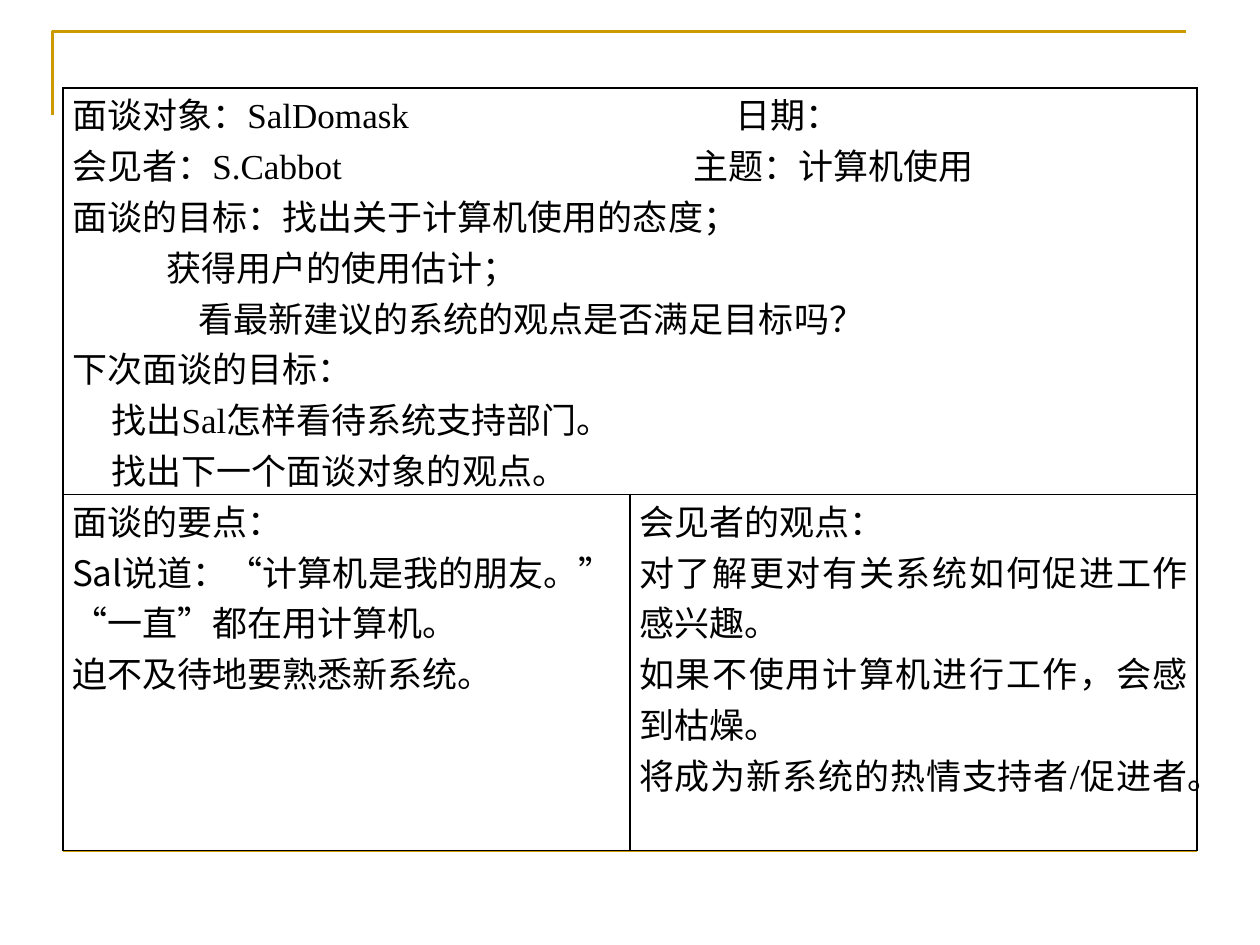
from lxml.etree import SubElement as Sub
from pptx import Presentation
from pptx.dml.color import RGBColor
from pptx.enum.shapes import MSO_CONNECTOR as Link
from pptx.enum.text import PP_ALIGN as Align
from pptx.oxml.ns import qn
from pptx.util import Pt

SERIF, SANS = "Times New Roman", "Noto Sans CJK SC"
GOLD, BLACK, WHITE = "CC9900", "000000", "FFFFFF"

HEAD = [
    dict(text="面谈对象：SalDomask\t日期：", tab=379),
    dict(text="会见者：S.Cabbot\t主题：计算机使用", tab=355),
    dict(text="面谈的目标：找出关于计算机使用的态度；"),
    dict(text="获得用户的使用估计；", left=54),
    dict(text="看最新建议的系统的观点是否满足目标吗？", left=72),
    dict(text="下次面谈的目标："),
    dict(text="找出Sal怎样看待系统支持部门。", left=22.5),
    dict(text="找出下一个面谈对象的观点。", left=22.5),
]
POINTS = [
    dict(text="面谈的要点："),
    dict(text="说道：“计算机是我的朋友。”", lead="Sal"),
    dict(text="“一直”都在用计算机。"),
    dict(text="迫不及待地要熟悉新系统。"),
]
VIEWS = [
    dict(text="会见者的观点："),
    dict(text="对了解更对有关系统如何促进工作感兴趣。"),
    dict(text="如果不使用计算机进行工作，会感到枯燥。"),
    dict(text="将成为新系统的热情支持者/促进者。"),
]


def color(code):
    """Turn a hex string into a colour."""
    return RGBColor.from_string(code)


def write(para, text, lead="", left=0, tab=0, size=20, ink=BLACK):
    """Fill a justified paragraph, with an optional sans lead, indent and tab stop."""
    para.alignment = Align.JUSTIFY
    props = para._p.get_or_add_pPr()
    if left:
        props.set("marL", str(Pt(left)))
        props.set("indent", "0")
    if tab:
        stops = Sub(props, qn("a:tabLst"))
        Sub(stops, qn("a:tab"), pos=str(Pt(tab)), algn="l")
    for part, face in ((lead, SANS), (text, SERIF)):
        if part:
            run = para.add_run()
            run.text = part
            font = run.font
            font.size, font.name = Pt(size), face
            font.color.rgb = color(ink)
            Sub(run._r.get_or_add_rPr(), qn("a:ea"), typeface=SANS)


def frame(shapes, left, top, width, height):
    """Draw the gold corner at the top and the gold rule at the foot."""
    pen = shapes.build_freeform(Pt(left), Pt(top + 48))
    pen.add_line_segments(
        [(Pt(left), Pt(top)), (Pt(left + width), Pt(top))], close=False)
    edge = pen.convert_to_shape()
    edge.shadow.inherit = False
    edge.fill.background()
    foot = Pt(top + height)
    rule = shapes.add_connector(
        Link.STRAIGHT, Pt(left + 6), foot, Pt(left + 6 + width), foot)
    Sub(rule._element.spPr, qn("a:effectLst"))
    for item in (edge, rule):
        item.line.color.rgb = color(GOLD)
        item.line.width = Pt(1.5)


def border(cell, ink=BLACK, width=1):
    """Put a solid line on all four sides of a cell."""
    props = cell._tc.get_or_add_tcPr()
    for side in "LRTB":
        line = Sub(props, qn(f"a:ln{side}"), w=str(Pt(width)))
        fill = Sub(line, qn("a:solidFill"))
        Sub(fill, qn("a:srgbClr"), val=ink)


def record(shapes, left, top, width, rows):
    """Build the interview record as a table with a merged head row."""
    table = shapes.add_table(
        2, 2, Pt(left), Pt(top), Pt(width), Pt(sum(rows))).table
    for col in table.columns:
        col.width = Pt(width / 2)
    for row, height in zip(table.rows, rows):
        row.height = Pt(height)
    for cell in table.iter_cells():
        border(cell)
        cell.fill.solid()
        cell.fill.fore_color.rgb = color(WHITE)
        cell.margin_left = cell.margin_right = Pt(5.2)
        cell.margin_top = cell.margin_bottom = 0
    table.cell(0, 0).merge(table.cell(0, 1))
    for spot, lines in (((0, 0), HEAD), ((1, 0), POINTS), ((1, 1), VIEWS)):
        body = table.cell(*spot).text_frame
        for num, line in enumerate(lines):
            write(body.add_paragraph() if num else body.paragraphs[0], **line)


def main():
    """Build and save the slide."""
    deck = Presentation()
    deck.slide_width, deck.slide_height = Pt(720), Pt(540)
    slide = deck.slides.add_slide(deck.slide_layouts[6])
    frame(slide.shapes, 30, 18, 648, 468)
    record(slide.shapes, 36, 50.4, 648, (232, 203))
    deck.save("out.pptx")


main()
